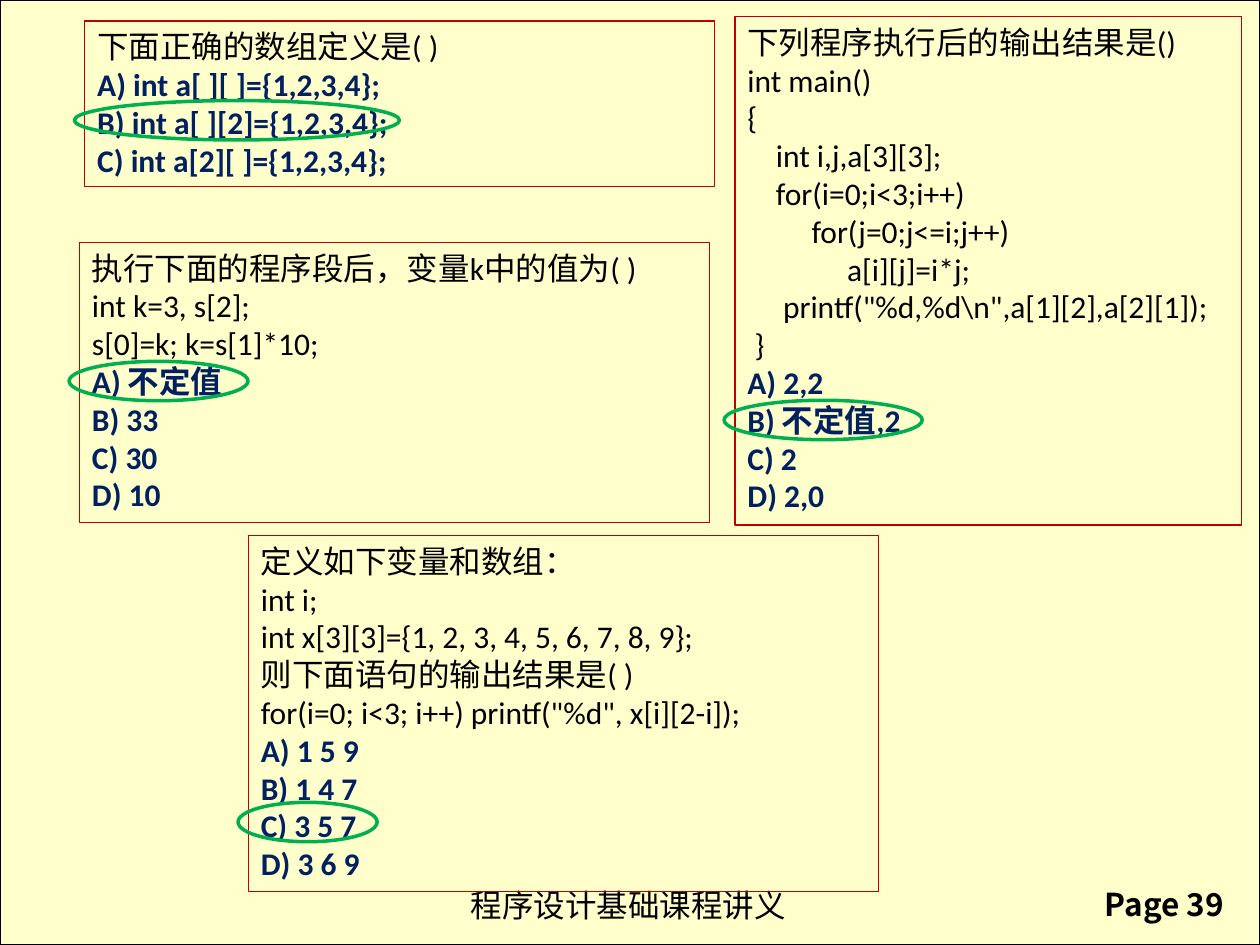
from pptx import Presentation
from pptx.dml.color import RGBColor
from pptx.enum.shapes import MSO_SHAPE
from pptx.enum.text import MSO_AUTO_SIZE
from pptx.util import Pt

RECT, OVAL = MSO_SHAPE.RECTANGLE, MSO_SHAPE.OVAL
FIT = MSO_AUTO_SIZE.SHAPE_TO_FIT_TEXT
CREAM = RGBColor(0xFF, 0xFF, 0xCC)
BLACK = RGBColor(0, 0, 0)
RED = RGBColor(0xC0, 0, 0)
NAVY = RGBColor(0, 0x20, 0x60)
GREEN = RGBColor(0, 0xB0, 0x50)
SPACE = 4.07  # width of one code space at 18 pt

prs = Presentation()
prs.slide_width, prs.slide_height = Pt(720), Pt(540)
s = prs.slides.add_slide(prs.slide_layouts[6])


def add_outline(kind, box, color, width, fill=None):
    sp = s.shapes.add_shape(kind, *map(Pt, box))
    sp.shadow.inherit = False
    if fill is None:
        sp.fill.background()
    else:
        sp.fill.solid()
        sp.fill.fore_color.rgb = fill
    sp.line.color.rgb = color
    sp.line.width = Pt(width)


def add_run(p, text, font, color, bold):
    r = p.add_run()
    r.text = text
    r.font.name = font
    r.font.size = Pt(18)
    r.font.bold = bold
    r.font.color.rgb = color


# Page background
add_outline(RECT, (0, 0, 720, 540), BLACK, 0.75, CREAM)

# Footer and page number
for box, text, font, bold in [
    ((262, 502.5, 196.5, 29), "程序设计基础课程讲义", "Arial", False),
    ((624.25, 502, 92, 29), "Page 39", "Noto Sans CJK SC", True),
]:
    sp = s.shapes.add_textbox(*map(Pt, box))
    sp.text_frame.word_wrap = False
    sp.text_frame.auto_size = FIT
    add_run(sp.text_frame.paragraphs[0], text, font, BLACK, bold)

# Questions: box, lines as (indent in spaces, text), options
questions = [
    ((45.5, 138.5, 360, 160),
     [(0, "执行下面的程序段后，变量k中的值为( )"),
      (0, "int k=3, s[2];"),
      (0, "s[0]=k; k=s[1]*10;")],
     ["A) 不定值", "B) 33", "C) 30", "D) 10"]),
    ((142, 306, 360, 203.5),
     [(0, "定义如下变量和数组："),
      (0, "int i;"),
      (0, "int x[3][3]={1, 2, 3, 4, 5, 6, 7, 8, 9};"),
      (0, "则下面语句的输出结果是( )"),
      (0, 'for(i=0; i<3; i++) printf("%d", x[i][2-i]);')],
     ["A) 1 5 9", "B) 1 4 7", "C) 3 5 7", "D) 3 6 9"]),
    ((48.5, 12, 360, 94.5),
     [(0, "下面正确的数组定义是( )")],
     ["A) int a[ ][ ]={1,2,3,4};",
      "B) int a[ ][2]={1,2,3,4};",
      "C) int a[2][ ]={1,2,3,4};"]),
    ((420, 9.5, 289.5, 290.5),
     [(0, "下列程序执行后的输出结果是()"),
      (0, "int main()"),
      (0, "{"),
      (4, "int i,j,a[3][3];"),
      (4, "for(i=0;i<3;i++)"),
      (9, "for(j=0;j<=i;j++)"),
      (14, "a[i][j]=i*j;"),
      (5, 'printf("%d,%d\\n",a[1][2],a[2][1]);'),
      (1, "}")],
     ["A) 2,2", "B) 不定值,2", "C) 2", "D) 2,0"]),
]
for box, lines, options in questions:
    sp = s.shapes.add_textbox(*map(Pt, box))
    sp.line.color.rgb = RED
    sp.line.width = Pt(0.75)
    tf = sp.text_frame
    tf.word_wrap = True
    tf.auto_size = FIT
    rows = [(n, text, BLACK, False) for n, text in lines]
    rows += [(0, text, NAVY, True) for text in options]
    for i, (spaces, text, color, bold) in enumerate(rows):
        p = tf.paragraphs[0] if i == 0 else tf.add_paragraph()
        if spaces:
            p._p.get_or_add_pPr().set("marL", str(Pt(spaces * SPACE)))
        add_run(p, text, "Calibri", color, bold)

# Rings around the right answers
for left, top, width in [(42.5, 57.5, 185.75), (39.5, 206.5, 102.25),
                         (136, 458.5, 79.5), (413.75, 228.75, 113.25)]:
    add_outline(OVAL, (left, top, width, 22.5), GREEN, 2)

prs.save("out.pptx")
